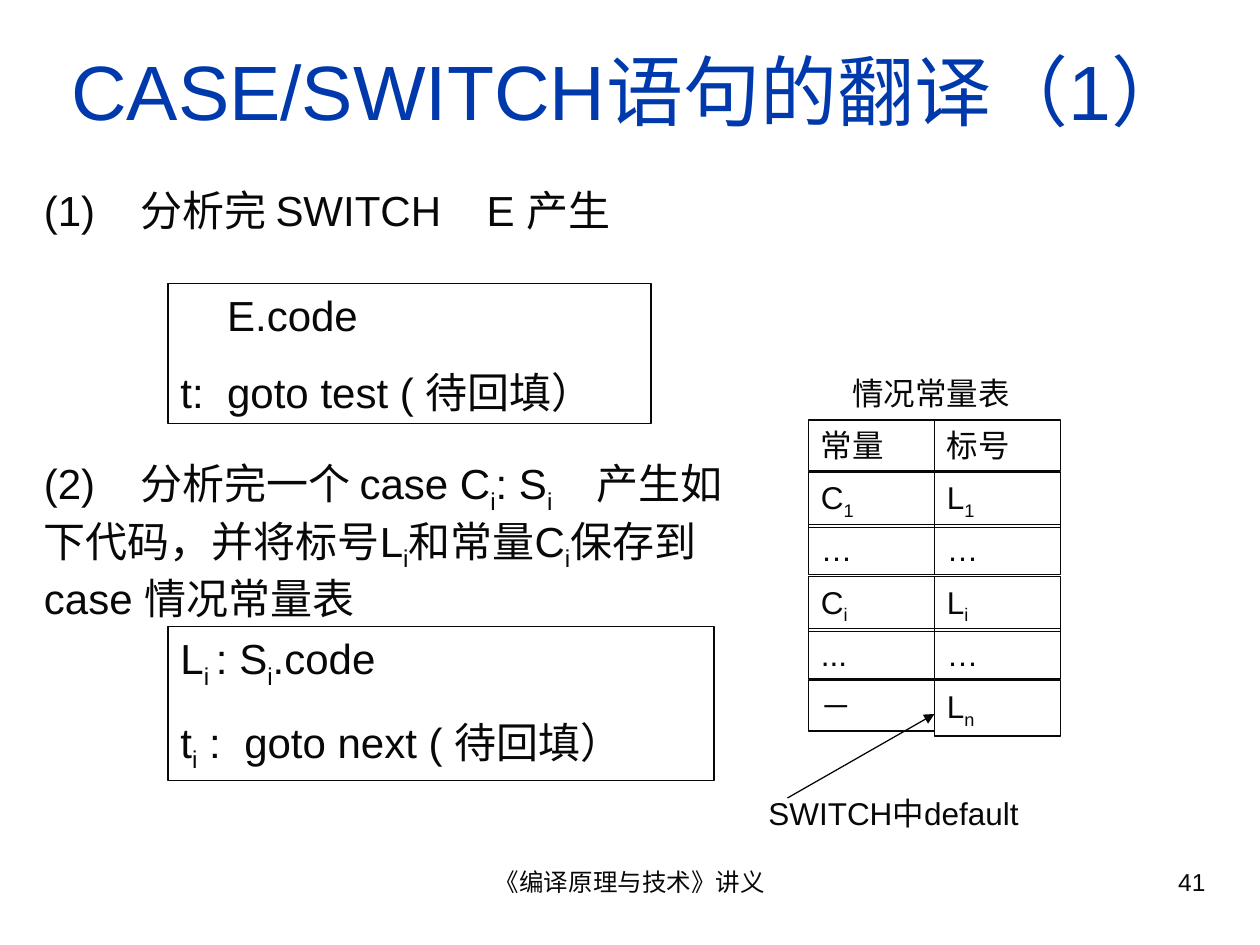
from lxml.etree import SubElement
from pptx import Presentation
from pptx.dml.color import RGBColor
from pptx.enum.shapes import MSO_CONNECTOR, MSO_SHAPE
from pptx.enum.text import MSO_ANCHOR, MSO_AUTO_SIZE, PP_ALIGN
from pptx.oxml.ns import qn
from pptx.util import Pt

INK = "080808"
TITLE_BLUE = "0039AC"


def color(hex_code):
    """Turn a hex string into a colour."""
    return RGBColor.from_string(hex_code)


def apply(target, values):
    """Set every attribute listed in a dict of format values."""
    for name, value in values.items():
        setattr(target, name, value)


class SlideBuilder:
    """Hold the style and the current slide, and draw each kind of element."""

    frame_style = {"word_wrap": True, "vertical_anchor": MSO_ANCHOR.TOP,
                   "auto_size": MSO_AUTO_SIZE.SHAPE_TO_FIT_TEXT}
    font_name = "Arial"
    line_width = Pt(0.75)

    def __init__(self, slide):
        """Keep the slide to draw on."""
        self.slide = slide

    def fill_text(self, frame, lines, size, hue=INK, before=0, align=PP_ALIGN.LEFT, tabs=(), indents=()):
        """Fill a frame with paragraphs, lowering the parts between tildes."""
        for index, line in enumerate(lines):
            paragraph = frame.paragraphs[0] if index == 0 else frame.add_paragraph()
            apply(paragraph, {"alignment": align, "space_before": Pt(before)})
            properties = paragraph._p.get_or_add_pPr()
            if index < len(indents):
                properties.set("marL", str(Pt(indents[index])))
            if tabs:
                stops = SubElement(properties, qn("a:tabLst"))
                for stop in tabs:
                    SubElement(stops, qn("a:tab"), pos=str(Pt(stop)), algn="l")
            for part, words in enumerate(line.split("~")):
                if words:
                    run = paragraph.add_run()
                    run.text = words
                    apply(run.font, {"size": Pt(size), "name": self.font_name})
                    run.font.color.rgb = color(hue)
                    if part % 2:
                        run.font._element.set("baseline", "-25000")

    def title(self, words, area):
        """Place and fill the title placeholder."""
        heading = self.slide.shapes.title
        apply(heading, dict(zip(("left", "top", "width", "height"), map(Pt, area))))
        apply(heading.text_frame, {"word_wrap": True, "auto_size": MSO_AUTO_SIZE.NONE,
                                   "vertical_anchor": MSO_ANCHOR.MIDDLE})
        self.fill_text(heading.text_frame, [words], 44, TITLE_BLUE, align=PP_ALIGN.CENTER)

    def text(self, lines, area, size, **layout):
        """Add plain text."""
        frame = self.slide.shapes.add_textbox(*map(Pt, area)).text_frame
        apply(frame, self.frame_style)
        self.fill_text(frame, lines, size, **layout)

    def box(self, lines, area, size, **layout):
        """Add an outlined rectangle with text."""
        outline = self.slide.shapes.add_shape(MSO_SHAPE.RECTANGLE, *map(Pt, area))
        outline.shadow.inherit = False
        outline.fill.background()
        outline.line.color.rgb = color(INK)
        outline.line.width = self.line_width
        apply(outline.text_frame, self.frame_style)
        self.fill_text(outline.text_frame, lines, size, **layout)

    def arrow(self, start, end):
        """Add a straight arrow."""
        pointer = self.slide.shapes.add_connector(MSO_CONNECTOR.STRAIGHT, *map(Pt, start + end))
        pointer.line.color.rgb = color(INK)
        pointer.line.width = self.line_width
        SubElement(pointer.line._get_or_add_ln(), qn("a:tailEnd"), type="triangle")
        SubElement(pointer._element.spPr, qn("a:effectLst"))

    def grid(self, rows, left, top, column_width, pitch):
        """Add rows of boxes, taller where a subscript appears."""
        for row, cells in enumerate(rows):
            for column, words in enumerate(cells):
                height = 31.7 if "~" in words else 28.8
                area = (left + column * column_width, top + row * pitch, column_width, height)
                self.box([words], area, 18, before=11.2)


def main():
    """Build the slide on translating CASE/SWITCH statements."""
    deck = Presentation()
    apply(deck, {"slide_width": Pt(720), "slide_height": Pt(540)})
    builder = SlideBuilder(deck.slides.add_slide(deck.slide_layouts[5]))

    builder.text(["《编译原理与技术》讲义"], (246, 492, 228, 37.5), 14, align=PP_ALIGN.CENTER)
    builder.text(["41"], (516, 492, 180, 37.5), 14, align=PP_ALIGN.RIGHT)
    builder.title("CASE/SWITCH语句的翻译（1）", (24, 18, 672, 66))

    builder.text(["(1)\t分析完 SWITCH\tE 产生"], (18, 102, 354, 36), 24, before=15, tabs=(55, 253))
    builder.box(["E.code", "t:\tgoto test ( 待回填）"], (96, 162, 276, 80), 24,
                before=15, tabs=(26.7,), indents=(26.7,))
    builder.text(["(2)\t分析完一个 case C~i~: S~i~\t产生如下代码，并将标号L~i~和常量C~i~保存到case 情况常量表"],
                 (18, 258, 408, 101.5), 24, before=15, tabs=(55, 316))
    builder.box(["L~i ~: S~i~.code", "t~i~ :\tgoto next ( 待回填）"], (96, 358, 312, 88), 24,
                before=15, tabs=(36.5,))

    cases = [("常量", "标号"), ("C~1~", "L~1~"), ("…", "…"),
             ("C~i~", "L~i~"), ("...", "…"), ("－", "L~n~")]
    builder.grid(cases, 462, 240, 72, 29.8)
    builder.text(["情况常量表"], (480, 210, 108, 28.8), 18, before=11.2)
    builder.arrow((450, 456), (534, 408))
    builder.text(["SWITCH中default"], (432, 450, 174, 28.8), 18, before=11.2)
    deck.save("out.pptx")


if __name__ == "__main__":
    main()
